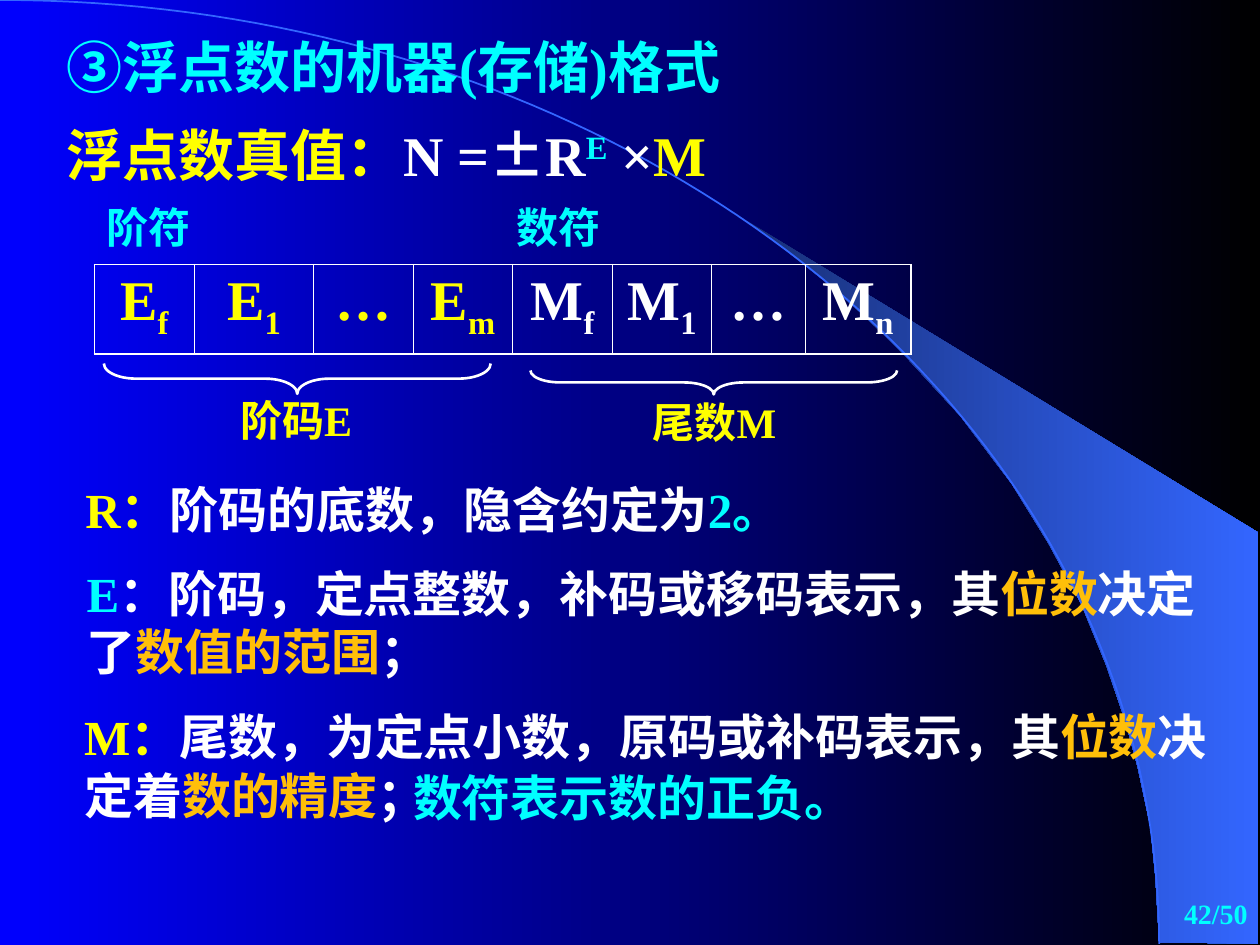
"""Builds the slide on the stored format of floating-point numbers."""
import dataclasses

import lxml.etree
import pptx
import pptx.dml.color
import pptx.enum.shapes
import pptx.enum.text
import pptx.oxml.ns
import pptx.util

ALIGN = pptx.enum.text.PP_ALIGN
ANCHOR = pptx.enum.text.MSO_ANCHOR


@dataclasses.dataclass(frozen=True)
class Theme:
    """Colours, fonts and type sizes of the slide."""
    blue: str = "0000FF"
    black: str = "000000"
    navy: str = "182F76"
    azure: str = "3366FF"
    yellow: str = "FFFF00"
    cyan: str = "00FFFF"
    white: str = "FFFFFF"
    amber: str = "FFBF09"
    serif: str = "Times New Roman"
    sans: str = "Noto Sans CJK SC"
    heading: int = 32
    body: int = 28
    label: int = 24
    footer: int = 16


THEME = Theme()
COLUMNS, ROWS = 100, 75


def grid(count):
    """Return the length of a number of grid cells, ten to the inch."""
    return pptx.util.Inches(count / 10)


def rgb(code):
    """Return the colour for a hexadecimal code."""
    return pptx.dml.color.RGBColor.from_string(code)


def set_gradient(fill, start, end):
    """Fill from left to right with two colours."""
    fill.gradient()
    fill.gradient_angle = 0
    for stop, code in zip(fill.gradient_stops, (start, end)):
        stop.color.rgb = rgb(code)
    fill.gradient_stops[0].position = 0
    fill.gradient_stops[1].position = 1


def add_run(paragraph, text, color, size, font=THEME.serif, baseline=0):
    """Append one bold run."""
    run = paragraph.add_run()
    run.text = text
    run.font.size = pptx.util.Pt(size)
    run.font.bold = True
    run.font.name = font
    run.font.color.rgb = rgb(color)
    properties = run._r.get_or_add_rPr()
    if baseline:
        properties.set("baseline", str(baseline * 1000))
    east_asian = lxml.etree.SubElement(properties, pptx.oxml.ns.qn("a:ea"))
    east_asian.set("typeface", THEME.sans)


def add_text(slide, box, size, runs, align=ALIGN.LEFT, anchor=ANCHOR.TOP):
    """Add a wrapped text box; a run is text, colour and run options."""
    shape = slide.shapes.add_textbox(*map(grid, box))
    frame = shape.text_frame
    frame.word_wrap = True
    frame.vertical_anchor = anchor
    paragraph = frame.paragraphs[0]
    paragraph.alignment = align
    for text, color, *options in runs:
        add_run(paragraph, text, color, size, *options)


def add_outline(slide, points, close):
    """Add a freeform through grid points."""
    corners = [(grid(x), grid(y)) for x, y in points]
    builder = slide.shapes.build_freeform(*corners[0], scale=1.0)
    builder.add_line_segments(corners[1:], close=close)
    shape = builder.convert_to_shape()
    shape.shadow.inherit = False
    return shape


def add_backdrop(slide):
    """Add the gradient, the bright wedge and the arc."""
    set_gradient(slide.background.fill, THEME.blue, THEME.black)
    wedge = add_outline(slide, [
        (92, 74.8), (99.9, 74.9), (99.9, 42.3), (58.9, 17.3), (62.4, 19.9),
        (65.3, 22.2), (68.5, 25), (71.6, 28), (76.2, 33), (80.3, 38.4),
        (83.2, 43.1), (85.8, 47.9), (87.8, 52.8), (89.3, 57.2),
        (90.3, 60.9), (91.3, 65.6), (91.7, 69.6)], True)
    set_gradient(wedge.fill, THEME.navy, THEME.azure)
    wedge.line.fill.background()

    width, height, steps = 92, 74.9, 80
    curve = []
    for step in range(steps + 1):
        t = step / steps
        x = 3 * (1 - t) ** 2 * t * 50.8 + (3 * (1 - t) * t ** 2 + t ** 3) * width
        y = 3 * (1 - t) * t ** 2 * 33.5 + t ** 3 * height
        curve.append((x, y))
    arc = add_outline(slide, curve, False)
    arc.fill.background()
    arc.line.color.rgb = rgb(THEME.azure)
    arc.line.width = pptx.util.Pt(1)


def add_brace(slide, left, top, span, depth, bend):
    """Add a brace that points down under a span of fields."""
    shape = slide.shapes.add_shape(
        pptx.enum.shapes.MSO_SHAPE.LEFT_BRACE,
        grid(left + (span - depth) / 2), grid(top + (depth - span) / 2),
        grid(depth), grid(span))
    shape.rotation = 270
    shape.adjustments[0] = bend
    shape.shadow.inherit = False
    shape.fill.background()
    shape.line.color.rgb = rgb(THEME.white)
    shape.line.width = pptx.util.Pt(1.5)


def set_borders(cell, widths):
    """Draw the left, right, top and bottom borders of a cell."""
    properties = cell._tc.get_or_add_tcPr()
    for index, (side, points) in enumerate(zip("LRTB", widths)):
        line = lxml.etree.Element(pptx.oxml.ns.qn(f"a:ln{side}"))
        line.set("w", str(pptx.util.Pt(points)))
        fill = lxml.etree.SubElement(line, pptx.oxml.ns.qn("a:solidFill"))
        color = lxml.etree.SubElement(fill, pptx.oxml.ns.qn("a:srgbClr"))
        color.set("val", THEME.white)
        properties.insert(index, line)


def add_fields(slide, fields, widths):
    """Add the one-row table of exponent and mantissa fields."""
    thick, thin = 1.08, 0.45
    frame = slide.shapes.add_table(
        1, len(fields), grid(7.5), grid(21), grid(sum(widths)), grid(7.1))
    table = frame.table
    table.first_row = table.horz_banding = False
    last = len(fields) - 1
    for index, (letter, subscript, color) in enumerate(fields):
        table.columns[index].width = grid(widths[index])
        cell = table.cell(0, index)
        cell.fill.background()
        set_borders(cell, (thin if index else thick,
                           thick if index == last else thin, thick, thick))
        paragraph = cell.text_frame.paragraphs[0]
        paragraph.alignment = ALIGN.CENTER
        add_run(paragraph, letter, color, THEME.heading)
        if subscript:
            add_run(paragraph, subscript, color, THEME.heading, baseline=-25)


def main():
    """Build and save the slide."""
    presentation = pptx.Presentation()
    presentation.slide_width, presentation.slide_height = grid(COLUMNS), grid(ROWS)
    slide = presentation.slides.add_slide(presentation.slide_layouts[6])
    yellow, cyan, white, amber = THEME.yellow, THEME.cyan, THEME.white, THEME.amber
    add_backdrop(slide)

    add_text(slide, (4.3, 2.1, 69.2, 6.4), THEME.heading, [
        ("③", cyan, THEME.sans), ("浮点数的机器(存储)格式", cyan)])
    add_text(slide, (4.3, 9.1, 69.2, 6.4), THEME.heading, [
        ("浮点数真值：", yellow), ("N =", white), ("±", white, THEME.sans),
        ("R", white), ("E", cyan, THEME.serif, 30), (" ×", white), ("M", yellow)])

    for left, top, text, color, font in (
            (4.3, 15.5, "阶符", cyan, THEME.sans),
            (36.8, 15.5, "数符", cyan, THEME.sans),
            (16, 30.8, "阶码E", yellow, THEME.serif),
            (49.2, 31, "尾数M", yellow, THEME.serif)):
        add_text(slide, (left, top, 15, 5), THEME.label,
                 [(text, color, font)], ALIGN.CENTER)

    fields = [(letter if mark else "…", mark, color)
              for letter, marks, color in (("E", ("f", "1", "", "m"), yellow),
                                           ("M", ("f", "1", "", "n"), white))
              for mark in marks]
    add_fields(slide, fields, (7.9, 9.5, 7.9, 7.9, 7.9, 7.9, 7.4, 8.4))
    add_brace(slide, 8.25, 28.85, 30.7, 2.4, 1.06)
    add_brace(slide, 42.1, 29.4, 29.1, 1.9, 1.25)

    for box, runs in (
            ((5.8, 37.6, 60.6, 5.7), [
                ("R：", yellow), ("阶码的底数，隐含约定为", white), ("2。", cyan)]),
            ((5.9, 44.2, 93.6, 10.4), [
                ("E", cyan), ("：阶码，定点整数，补码或移码表示，其", white),
                ("位数", amber), ("决定了", white), ("数值的范围", amber),
                ("；", white)]),
            ((5.7, 55.6, 93.1, 10.4), [
                ("M：", yellow), ("尾数，为定点小数，原码或补码表示，其", white),
                ("位数", amber), ("决定着", white), ("数的精度", amber),
                ("；", white)]),
            ((31.8, 60.4, 44.2, 5.7), [("数符表示数的正负。", cyan, THEME.sans)])):
        add_text(slide, box, THEME.body, runs)

    add_text(slide, (79.2, 70, 20.8, 5), THEME.footer, [("42/50", cyan)],
             ALIGN.RIGHT, ANCHOR.MIDDLE)
    presentation.save("out.pptx")


if __name__ == "__main__":
    main()
